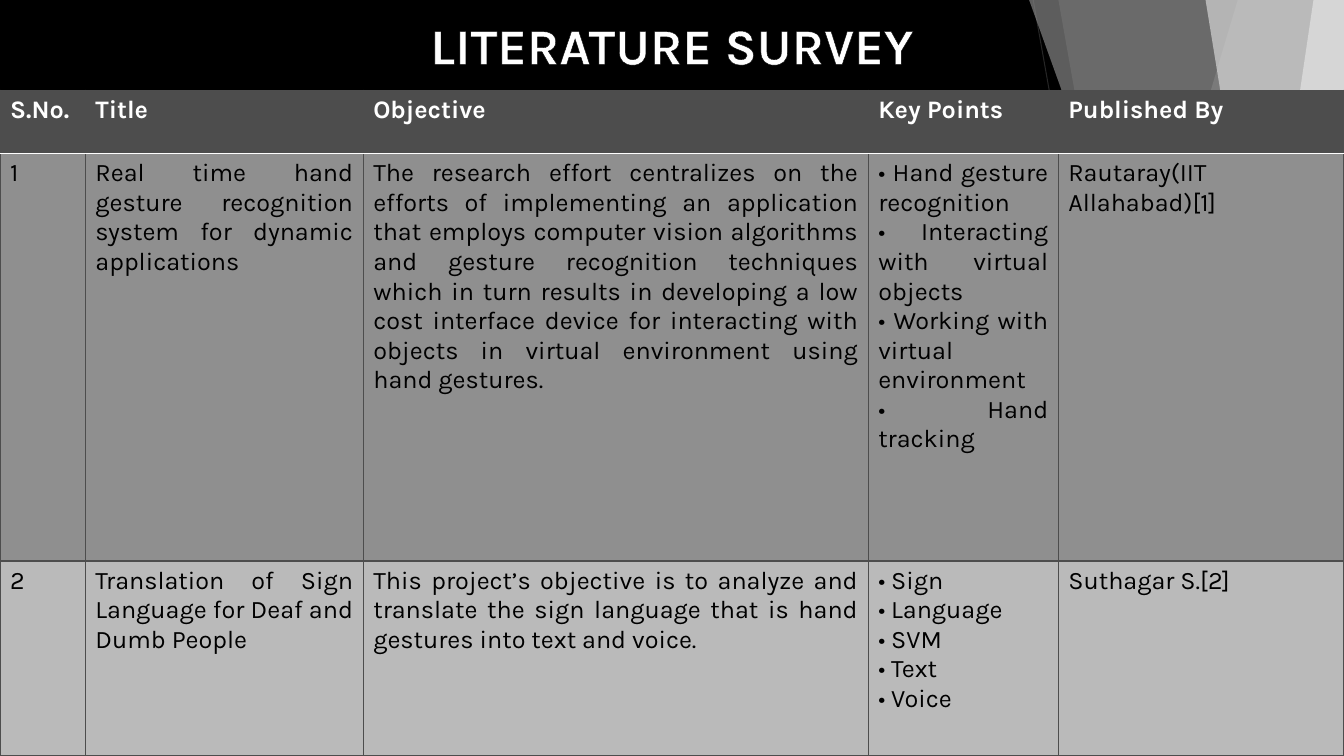
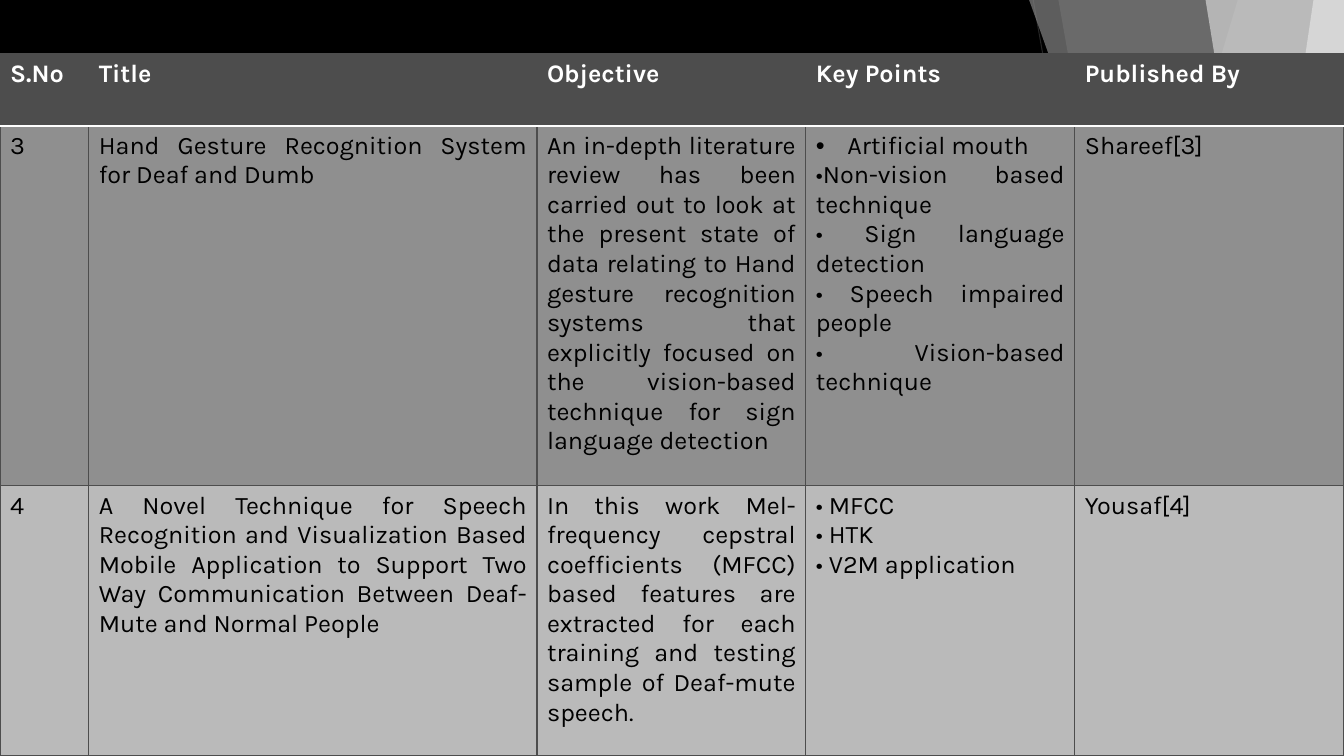
from dataclasses import dataclass

from lxml import etree
from pptx import Presentation
from pptx import util as u
from pptx.dml.color import RGBColor
from pptx.enum import shapes, text
from pptx.oxml import ns

W, H = 960, 540


@dataclass(frozen=True)
class Theme:
    font: str = "Karla"
    back: str = "000000"
    ink: str = "000000"
    light: str = "FFFFFF"
    header: str = "4D4D4D"
    bands: tuple = ("8F8F8F", "BABABA")
    hairline: str = "262626"
    facets: tuple = (
        (884.2, 722.9, "DDDDDD", 30),
        (756, 851.8, "DDDDDD", 20),
        (735.1, 929.5, "858585", 70),
        (938.2, 858.2, "EBEBEB", 70),
        (861.1, 949, "DDDDDD", 65),
    )
    title_size: float = 36
    body_size: float = 18


def rgb(value):
    return RGBColor.from_string(value)


def node(parent, tag, index=None, **attrs):
    el = etree.Element(ns.qn(tag), attrs)
    parent.insert(len(parent) if index is None else index, el)
    return el


def line_fill(parent, tag, color, width, index):
    ln = node(parent, tag, index, w=str(u.Pt(width)))
    node(node(ln, "a:solidFill"), "a:srgbClr", val=color)


class Deck:
    """Builds slides in one style, one method per kind of element."""

    def __init__(self, theme):
        self.theme = theme
        self.prs = Presentation()
        self.prs.slide_width, self.prs.slide_height = u.Pt(W), u.Pt(H)
        self.s = None

    def slide(self):
        self.s = self.prs.slides.add_slide(self.prs.slide_layouts[6])
        fill = self.s.background.fill
        fill.solid()
        fill.fore_color.rgb = rgb(self.theme.back)
        self.line(738, 0, 833.8, H)
        for facet in self.theme.facets:
            self.facet(*facet)

    def line(self, x1, y1, x2, y2):
        cn = self.s.shapes.add_connector(
            shapes.MSO_CONNECTOR.STRAIGHT, *map(u.Pt, (x1, y1, x2, y2)))
        cn.line.color.rgb = rgb(self.theme.hairline)
        cn.line.width = u.Pt(0.75)
        node(cn._element.spPr, "a:effectLst")

    def facet(self, top_x, bottom_x, color, opacity):
        fb = self.s.shapes.build_freeform(u.Pt(top_x), 0)
        corners = ((W, 0), (W, H), (bottom_x, H))
        fb.add_line_segments([(u.Pt(x), u.Pt(y)) for x, y in corners])
        sp = fb.convert_to_shape()
        sp.shadow.inherit = False
        sp.line.fill.background()
        sp.fill.solid()
        sp.fill.fore_color.rgb = rgb(color)
        clr = sp._element.spPr.find(".//" + ns.qn("a:srgbClr"))
        node(clr, "a:alpha", val=str(opacity * 1000))

    def run(self, p, words, size, color, bold):
        r = p.add_run()
        r.text = words
        style = {"name": self.theme.font, "size": u.Pt(size), "bold": bold}
        for key, value in style.items():
            setattr(r.font, key, value)
        r.font.color.rgb = rgb(color)
        return r

    def title(self, words):
        sp = self.s.shapes.add_textbox(*map(u.Pt, (240, 6.5, 480, 51)))
        tf = sp.text_frame
        layout = {"word_wrap": True,
                  "auto_size": text.MSO_AUTO_SIZE.SHAPE_TO_FIT_TEXT}
        for key, value in layout.items():
            setattr(tf, key, value)
        p = tf.paragraphs[0]
        p.alignment = text.PP_ALIGN.CENTER
        r = self.run(p, words, self.theme.title_size, self.theme.light, True)
        line_fill(r.font._element, "a:ln", self.theme.ink, 1.06, 0)

    def cell(self, cell, words, row):
        t = self.theme
        head = row == 0
        cell.fill.solid()
        cell.fill.fore_color.rgb = rgb(t.header if head else t.bands[row - 1])
        rule, edge = (t.light, 1.5), (t.header, 1)
        borders = {"a:lnL": edge, "a:lnR": edge,
                   "a:lnT": rule if row == 1 else edge,
                   "a:lnB": rule if head else edge}
        tc_pr = cell._tc.get_or_add_tcPr()
        for i, (tag, (color, width)) in enumerate(borders.items()):
            line_fill(tc_pr, tag, color, width, i)
        tf = cell.text_frame
        for i, item in enumerate(words.split("\n")):
            p = tf.add_paragraph() if i else tf.paragraphs[0]
            p.alignment = text.PP_ALIGN.JUSTIFY
            if item.startswith("\t"):
                self.bullet(p)
            self.run(p, item.strip(), t.body_size,
                     t.light if head else t.ink, head)

    def bullet(self, p):
        p_pr = p._p.get_or_add_pPr()
        indent = u.Pt(22.5)
        p_pr.set("marL", str(indent))
        p_pr.set("indent", str(-indent))
        node(p_pr, "a:buFont", typeface="Arial")
        node(p_pr, "a:buChar", char="•")

    def table(self, top, widths, heights, rows):
        widths = [*widths, W - sum(widths)]
        heights = [*heights, H - top - sum(heights)]
        frame = self.s.shapes.add_table(
            len(heights), len(widths), 0, u.Pt(top), u.Pt(W), u.Pt(H - top))
        tbl = frame.table
        tbl.horz_banding = False
        for col, width in zip(tbl.columns, widths):
            col.width = u.Pt(width)
        for row, height in zip(tbl.rows, heights):
            row.height = u.Pt(height)
        for i, row in enumerate(rows):
            for j, words in enumerate(row):
                self.cell(tbl.cell(i, j), words, i)


HEADINGS = ("Title", "Objective", "Key Points", "Published By")

SURVEY_1 = (
    ("S.No.", *HEADINGS),
    ("1",
     "Real time hand gesture recognition system for dynamic applications",
     "The research effort centralizes on the efforts of implementing an "
     "application that employs computer vision algorithms and gesture "
     "recognition techniques which in turn results in developing a low cost "
     "interface device for interacting with objects in virtual environment "
     "using hand gestures.",
     "• Hand gesture recognition\n• Interacting with virtual objects\n"
     "• Working with virtual environment\n• Hand tracking",
     "Rautaray(IIT Allahabad)[1]"),
    ("2",
     "Translation of Sign Language for Deaf and Dumb People",
     "This project’s objective is to analyze and translate the sign language "
     "that is hand gestures into text and voice.",
     "• Sign\n• Language\n• SVM\n• Text\n• Voice",
     "Suthagar S.[2]"),
)

SURVEY_2 = (
    ("S.No", *HEADINGS),
    ("3",
     "Hand Gesture Recognition System for Deaf and Dumb",
     "An in-depth literature review has been carried out to look at the "
     "present state of data relating to Hand gesture recognition systems "
     "that explicitly focused on the vision-based technique for sign "
     "language detection",
     "\tArtificial mouth\n•Non-vision based technique\n"
     "• Sign language detection\n• Speech impaired people\n"
     "• Vision-based technique",
     "Shareef[3]"),
    ("4",
     "A Novel Technique for Speech Recognition and Visualization Based "
     "Mobile Application to Support Two Way Communication Between Deaf-Mute "
     "and Normal People",
     "In this work Mel- frequency cepstral coefficients (MFCC) based "
     "features are extracted for each training and testing sample of "
     "Deaf-mute speech.",
     "• MFCC\n• HTK\n• V2M application",
     "Yousaf[4]"),
)


def main():
    deck = Deck(Theme())
    deck.slide()
    deck.title("LITERATURE SURVEY")
    deck.table(64.5, (61, 198.5, 360.7, 135.8), (45.2, 291.1), SURVEY_1)
    deck.slide()
    deck.table(38.6, (63.4, 320.2, 192.1, 192.1), (51.4, 257.1), SURVEY_2)
    deck.prs.save("out.pptx")


if __name__ == "__main__":
    main()
